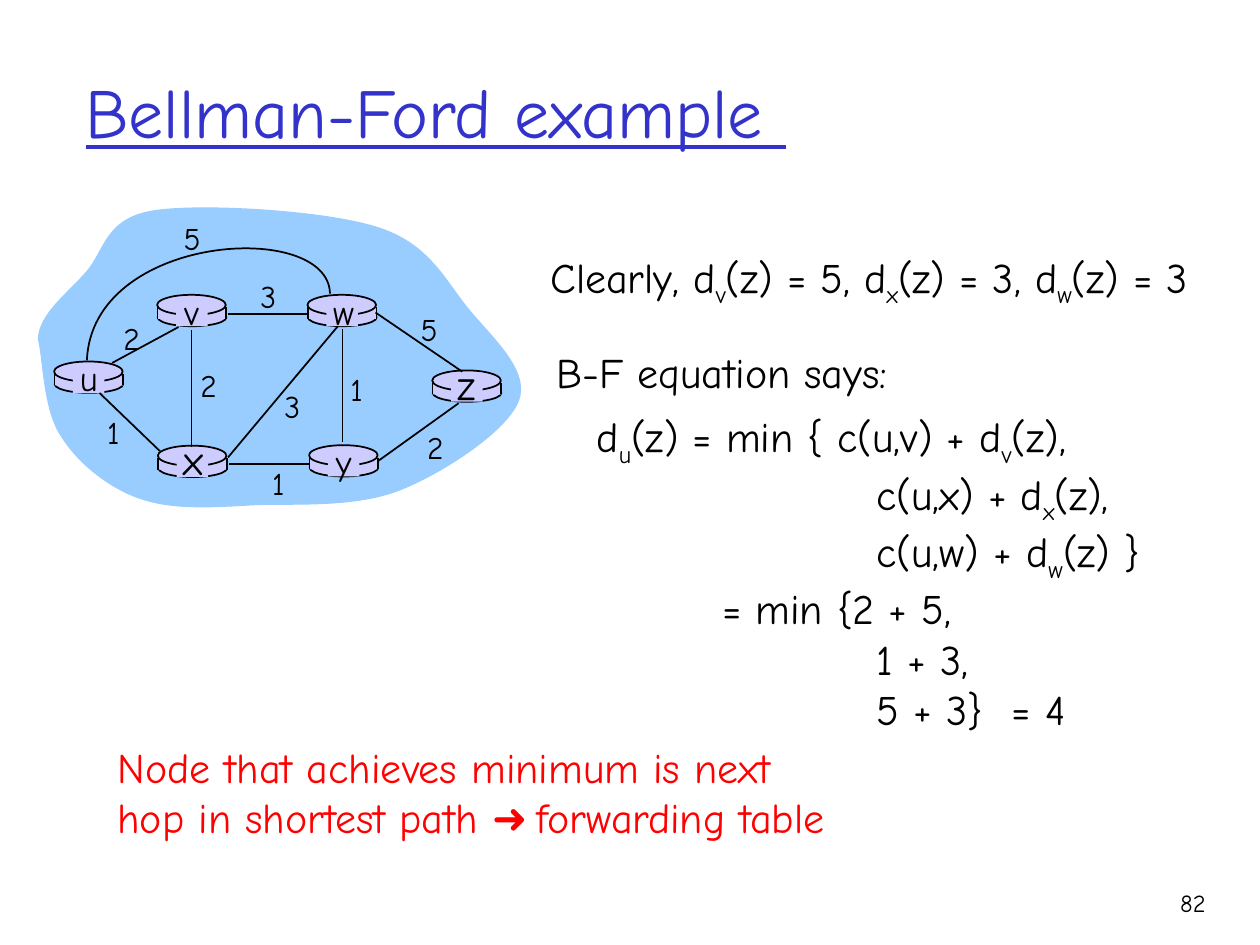
from dataclasses import dataclass

from lxml.etree import SubElement
from pptx import Presentation
from pptx.dml.color import RGBColor as Rgb
from pptx.enum.shapes import MSO_CONNECTOR as Link, MSO_SHAPE as Kind
from pptx.enum.text import MSO_ANCHOR as Anchor, PP_ALIGN as Align
from pptx.oxml.ns import qn
from pptx.util import Pt


@dataclass(frozen=True)
class Theme:
    font: str = "Comic Neue"
    sign: str = "Noto Sans CJK JP"
    ink: Rgb = Rgb(0, 0, 0)
    head: Rgb = Rgb(0x33, 0x33, 0xCC)
    alert: Rgb = Rgb(0xFF, 0, 0)
    cloud: Rgb = Rgb(0x99, 0xCC, 0xFF)
    node: Rgb = Rgb(0xCC, 0xCC, 0xFF)
    title: int = 40
    body: int = 24
    name: int = 20
    cost: int = 18
    page: int = 14


theme = Theme()
deck = Presentation()
deck.slide_width, deck.slide_height = Pt(720), Pt(540)
slide = deck.slides.add_slide(deck.slide_layouts[6])


def write(host, box, lines, size, color=theme.ink, align=Align.LEFT):
    """Add text; "|" parts the runs and a leading "_" marks a subscript."""
    frame = host.add_textbox(*map(Pt, box)).text_frame
    frame.word_wrap = False
    for i, line in enumerate(lines):
        para = frame.add_paragraph() if i else frame.paragraphs[0]
        para.alignment = align
        for part in line.split("|"):
            run = para.add_run()
            run.text = part.lstrip("_")
            run.font.name, run.font.size = theme.font, Pt(size)
            run.font.color.rgb = color
            props = run._r.get_or_add_rPr()
            if part.startswith("_"):
                props.set("baseline", "-25000")
            if part.startswith("➜"):
                run.font.name = theme.sign
                SubElement(props, qn("a:ea"), typeface=theme.sign)
    return frame


# Title
frame = write(slide.shapes, (41.8, 18, 612, 90), ["Bellman-Ford example "],
              theme.title, theme.head)
frame.word_wrap = True
frame.vertical_anchor = Anchor.MIDDLE
frame.paragraphs[0].runs[0].font.underline = True

# Cloud and the arc from w to u: a start, then Bezier triples
net = slide.shapes.add_group_shape().shapes
cloud = [(21.6, 193.7),
         (22.3, 179.3), (38.2, 167.8), (49, 155.5),
         (59.8, 143.3), (59.8, 124.6), (87.8, 120.2),
         (115.9, 115.9), (185.8, 120.2), (215.3, 129.6),
         (245.5, 139), (254.2, 159.8), (267.8, 176.4),
         (281.5, 193), (303.1, 211.7), (296.6, 229),
         (290.2, 246.2), (254.2, 270), (229, 280.1),
         (203.8, 290.2), (170.6, 288), (146.2, 288.7),
         (121, 290.2), (98.6, 291.6), (79.9, 285.1),
         (61.2, 278.6), (43.9, 264.2), (34.6, 249.1),
         (24.5, 234), (24.5, 205.2), (21.6, 193.7)]
arc = [(188.6, 167.8), (187.9, 125.3), (52.6, 133.2), (49.7, 205.9)]
for curve, closed in ((cloud, True), (arc, False)):
    dots = [(Pt(x), Pt(y)) for x, y in curve]
    pen = net.build_freeform(*dots[0])
    pen.add_line_segments(dots[1:], close=closed)
    shape = pen.convert_to_shape()
    # Turn each three straight segments into one Bezier segment
    legs = list(shape._element.iter(qn("a:lnTo")))
    for i in range(0, len(curve) - 1, 3):
        trio = legs[i:i + 3]
        bend = trio[0].makeelement(qn("a:cubicBezTo"))
        trio[0].addprevious(bend)
        for leg in trio:
            bend.append(leg[0])
            leg.getparent().remove(leg)
    shape.shadow.inherit = False
    if closed:
        shape.fill.solid()
        shape.fill.fore_color.rgb = theme.cloud
        shape.line.fill.background()
    else:
        shape.fill.background()
        shape.line.color.rgb = theme.ink
        shape.line.width = Pt(1)

# Routers: base, body, lid and a patch behind the name
nodes = {"u": (30.9, 206.6), "x": (90.2, 254.7), "v": (89.8, 168.5),
         "w": (175.7, 168.5), "y": (176.6, 254.4), "z": (247, 211.7)}
wide = 39.2
layers = [(Kind.OVAL, 0.3, 7.9, wide, 10, True),
          (Kind.RECTANGLE, 0.3, 7.2, wide, 6.5, False),
          (Kind.OVAL, 0, 0, wide, 11.5, True),
          (Kind.RECTANGLE, 10.8, 1.3, 18, 16.6, False)]
for left, top in nodes.values():
    for kind, dx, dy, w, h, edged in layers:
        shape = net.add_shape(kind, Pt(left + dx), Pt(top + dy), Pt(w), Pt(h))
        shape.shadow.inherit = False
        shape.fill.solid()
        shape.fill.fore_color.rgb = theme.node
        if edged:
            shape.line.color.rgb = theme.ink
            shape.line.width = Pt(1)
        else:
            shape.line.fill.background()

# Links and the sides of the routers
lines = [(64.1, 207.4, 102, 186.9), (195.8, 187.9, 195.8, 252.7),
         (109.4, 188.6, 109.4, 255.6), (130.3, 261.4, 193, 186.5),
         (216, 263.5, 262.1, 230.4), (176.4, 265.3, 131, 265.3),
         (91.4, 257.8, 56.9, 224.6), (175.7, 179.3, 130.3, 179.3),
         (264.2, 212.4, 214.6, 178.6)]
lines += [(left + dx, top + 7.2, left + dx, top + 13.7)
          for left, top in nodes.values() for dx in (0.2, wide + 0.2)]
for ends in lines:
    line = net.add_connector(Link.STRAIGHT, *map(Pt, ends))
    line.line.color.rgb = theme.ink
    line.line.width = Pt(1)
    SubElement(line._element.spPr, qn("a:effectLst"))

# Router names
for name, (left, top) in nodes.items():
    size, rise, h = ((theme.body, 10.4, 36) if name in "xz"
                     else (theme.name, 6.3, 31.7))
    write(net, (left + 7.6, top - rise, 24.4, h), [name], size,
          align=Align.CENTER)

# Link costs: middle and top
costs = [("2", 75.2, 178.6), ("2", 119.2, 205.9), ("1", 64.8, 232.6),
         ("3", 167, 217.4), ("1", 159.1, 261.4), ("1", 203.8, 208.1),
         ("2", 248.8, 241.2), ("5", 245.2, 173.5), ("3", 153.4, 154.8),
         ("5", 109.8, 121.7)]
for cost, mid, top in costs:
    write(net, (mid - 12, top, 24, 28.8), [cost], theme.cost,
          align=Align.CENTER)

# Known distances and the equation
write(slide.shapes, (307.4, 140, 378.7, 40.3),
      ["Clearly, d|_v|(z) = 5, d|_x|(z) = 3, d|_w|(z) = 3"], theme.body)
write(slide.shapes, (311, 194.7, 203.8, 36), ["B-F equation says:"],
      theme.body)
frame = write(slide.shapes, (333.9, 231.3, 324.7, 192.2),
              ["d|_u|(z) = min { c(u,v) + d|_v|(z),",
               "c(u,x) + d|_x|(z),",
               "c(u,w) + d|_w|(z) }",
               "= min {2 + 5,",
               "1 + 3,",
               "5 + 3}| |= 4"], theme.body)
for para, indent in zip(frame.paragraphs, (0, 160, 160, 71.7, 160, 160)):
    para._p.get_or_add_pPr().set("marL", str(Pt(indent)))
gap = frame.paragraphs[-1].runs[1]
gap._r.get_or_add_rPr().set("spc", "840")

# Conclusion and page number
write(slide.shapes, (60.1, 420, 424.8, 64.8),
      ["Node that achieves minimum is next",
       "hop in shortest path |➜ |forwarding table"], theme.body, theme.alert)
write(slide.shapes, (642.8, 504, 53.3, 36), ["82"], theme.page,
      align=Align.RIGHT)

deck.save("out.pptx")
